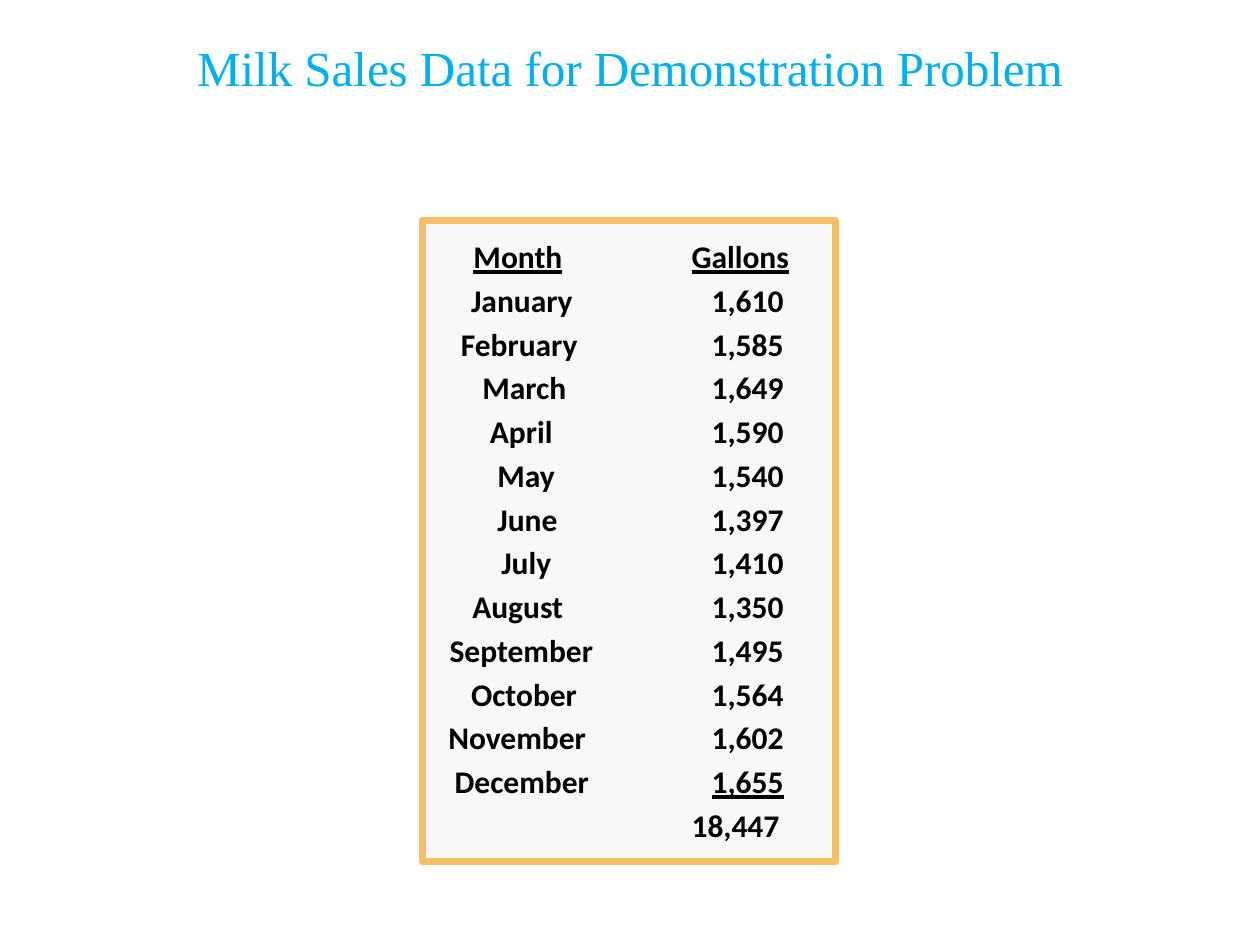
from dataclasses import dataclass

from pptx import Presentation
from pptx.dml.color import RGBColor
from pptx.enum.shapes import MSO_SHAPE
from pptx.enum.text import MSO_ANCHOR, MSO_AUTO_SIZE, PP_ALIGN
from pptx.util import Inches, Pt

RECT = MSO_SHAPE.RECTANGLE
TOP = MSO_ANCHOR.TOP
GROW = MSO_AUTO_SIZE.SHAPE_TO_FIT_TEXT
LEFT, CENTER = PP_ALIGN.LEFT, PP_ALIGN.CENTER


@dataclass(frozen=True)
class Theme:
    panel: RGBColor = RGBColor.from_string("F8F8F8")
    border: RGBColor = RGBColor.from_string("F6BF66")
    text: RGBColor = RGBColor.from_string("000000")
    title: RGBColor = RGBColor.from_string("00B0F0")
    body_font: str = "Calibri"
    title_font: str = "Times New Roman"
    body_size: Pt = Pt(18)
    title_size: Pt = Pt(28)
    border_width: Pt = Pt(4)


theme = Theme()
prs = Presentation()
prs.slide_width, prs.slide_height = Inches(10), Inches(7.5)
s = prs.slides.add_slide(prs.slide_layouts[6])
COL = prs.slide_width / 100
ROW = prs.slide_height / 21.6
FIRST_ROW = 5.28
HANG = round(3.8 * COL)


def box(col, row, cols, rows):
    return round(col * COL), round(row * ROW), round(cols * COL), round(rows * ROW)


def add_rect(shapes, *place):
    sp = shapes.add_shape(RECT, *box(*place))
    sp.shadow.inherit = False
    sp.fill.solid()
    sp.fill.fore_color.rgb = theme.panel
    sp.line.fill.background()
    return sp


sales = [
    ("Month", 36.6, 10, "Gallons", 53.9, 11.1),
    ("January", 36.4, 11.1, "1,610", 55.5, 8.4),
    ("February", 35.6, 12.4, "1,585", 55.5, 8.4),
    ("March", 37.3, 9.5, "1,649", 55.5, 8.4),
    ("April", 37.9, 7.6, "1,590", 55.5, 8.4),
    ("May", 38.5, 7.4, "1,540", 55.5, 8.4),
    ("June", 38.5, 7.4, "1,397", 55.5, 8.4),
    ("July", 38.8, 6.5, "1,410", 55.5, 8.4),
    ("August", 36.5, 10.5, "1,350", 55.5, 8.4),
    ("September", 34.7, 14.8, "1,495", 55.5, 8.4),
    ("October", 36.4, 11.7, "1,564", 55.5, 8.4),
    ("November", 34.6, 14.3, "1,602", 55.5, 8.4),
    ("December", 35.1, 14, "1,655", 55.5, 8.4),
    (None, 0, 0, "18,447", 53.9, 9.8),
]
underlined = {"Month", "Gallons", "1,655"}

group = s.shapes.add_group_shape()
panel = add_rect(group.shapes, 33.5, 5.04, 32.8, 14.66)
panel.line.color.rgb = theme.border
panel.line.width = theme.border_width

for i, record in enumerate(sales):
    for text, col, cols in (record[:3], record[3:]):
        if text is None:
            continue
        sp = add_rect(group.shapes, col, FIRST_ROW + i, cols, 1.24)
        tf = sp.text_frame
        tf.word_wrap = False
        tf.auto_size = GROW
        tf.vertical_anchor = TOP
        p = tf.paragraphs[0]
        p.text = text
        p.alignment = LEFT
        pPr = p._p.get_or_add_pPr()
        pPr.set("marL", str(HANG))
        pPr.set("indent", str(-HANG))
        p.font.name = theme.body_font
        p.font.size = theme.body_size
        p.font.bold = True
        p.font.underline = text in underlined
        p.font.color.rgb = theme.text

title = s.shapes.add_textbox(*box(4.7, 0.72, 90.6, 3.14))
tf = title.text_frame
tf.word_wrap = True
p = tf.paragraphs[0]
p.text = "Milk Sales Data for Demonstration Problem"
p.alignment = CENTER
p.font.name = theme.title_font
p.font.size = theme.title_size
p.font.color.rgb = theme.title

prs.save("out.pptx")
